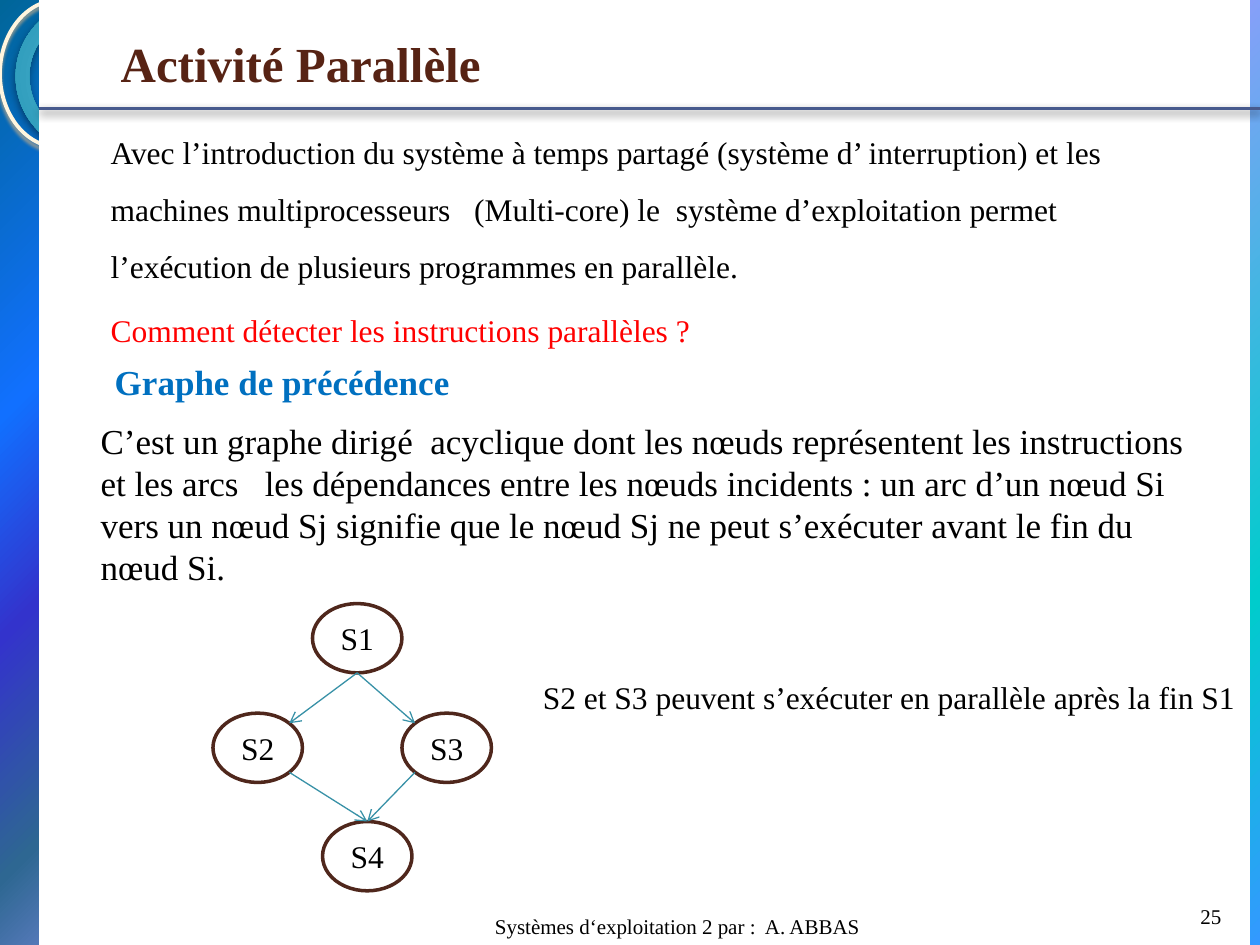
from pptx import Presentation
from pptx.dml.color import RGBColor
from pptx.enum.shapes import MSO_CONNECTOR, MSO_SHAPE
from pptx.enum.text import MSO_ANCHOR, PP_ALIGN
from pptx.oxml import parse_xml
from pptx.oxml.ns import nsdecls
from pptx.util import Inches, Pt

FONT = "Times New Roman"
BLACK = RGBColor(0x00, 0x00, 0x00)
WHITE = RGBColor(0xFF, 0xFF, 0xFF)
RED = RGBColor(0xFF, 0x00, 0x00)
BLUE = RGBColor(0x00, 0x70, 0xC0)
BROWN = RGBColor(0x57, 0x23, 0x14)
RING = RGBColor(0x4F, 0x27, 0x1C)
TEAL = RGBColor(0x38, 0x91, 0xA7)
NAVY = RGBColor(0x47, 0x5A, 0x8D)
CREAM = RGBColor(0xFF, 0xF5, 0xDE)
SHADE = RGBColor(0xB0, 0xA6, 0x8F)
SKY = [(0, RGBColor(0x33, 0x99, 0xFF)), (16, RGBColor(0x00, 0xCC, 0xCC)),
       (47, RGBColor(0x99, 0x99, 0xFF)), (60, RGBColor(0x2E, 0x67, 0x92)),
       (71, RGBColor(0x33, 0x33, 0xCC)), (81, RGBColor(0x11, 0x70, 0xFF)),
       (100, RGBColor(0x00, 0x66, 0x99))]
LAGOON = [(0, RGBColor(0x45, 0xAC, 0xCC)), (15, RGBColor(0x45, 0xAC, 0xCB)),
          (62, RGBColor(0x2B, 0x9A, 0xB9)), (97, RGBColor(0x1C, 0x8A, 0xA7)),
          (100, RGBColor(0x0E, 0x89, 0xA7))]

COLS, ROWS = 100, 75
CELL = Inches(10) / COLS
NODE_W, NODE_H = 7.1, 5.5
NODES = {"S1": (24.8, 47.9), "S2": (16.9, 56.6), "S3": (31.9, 56.6), "S4": (25.6, 65.2)}
DIAG = 0.5 ** 0.5


def grid(*cells):
    return [round(cell * CELL) for cell in cells]


def blend(fill, stops, focus):
    fill.gradient()
    grad = fill._fill._gradFill
    for child in list(grad):
        grad.remove(child)
    marks = "".join(f'<a:gs pos="{pos * 1000}"><a:srgbClr val="{color}"/></a:gs>'
                    for pos, color in stops)
    left, top, right, down = (side * 1000 for side in focus)
    grad.append(parse_xml(f'<a:gsLst {nsdecls("a")}>{marks}</a:gsLst>'))
    grad.append(parse_xml(
        f'<a:path {nsdecls("a")} path="circle"><a:fillToRect l="{left}" t="{top}" '
        f'r="{right}" b="{down}"/></a:path>'))


def cast(shape, color, alpha, blur):
    shape._element.spPr.append(parse_xml(
        f'<a:effectLst {nsdecls("a")}><a:outerShdw blurRad="{Pt(blur)}" dist="{Pt(2)}" '
        f'dir="5400000" rotWithShape="0"><a:srgbClr val="{color}"><a:alpha '
        f'val="{alpha * 1000}"/></a:srgbClr></a:outerShdw></a:effectLst>'))


def draw(slide, kind, area, fill=None, line=None, width=2, shadow=None):
    shape = slide.shapes.add_shape(kind, *grid(*area))
    if shadow:
        cast(shape, *shadow)
    else:
        shape.shadow.inherit = False
    if fill:
        shape.fill.solid()
        shape.fill.fore_color.rgb = fill
    else:
        shape.fill.background()
    if line:
        shape.line.color.rgb = line
        shape.line.width = Pt(width)
    else:
        shape.line.fill.background()
    return shape


def link(slide, start, end, color, width, shadow=None, head=False):
    wire = slide.shapes.add_connector(MSO_CONNECTOR.STRAIGHT, *grid(*start, *end))
    wire.line.color.rgb = color
    wire.line.width = Pt(width)
    if head:
        wire.line._get_or_add_ln().append(
            parse_xml(f'<a:tailEnd {nsdecls("a")} type="arrow"/>'))
    if shadow:
        cast(wire, *shadow)
    else:
        wire._element.spPr.append(parse_xml(f'<a:effectLst {nsdecls("a")}/>'))


def style(frame, words, size, color=BLACK, bold=False, align=PP_ALIGN.LEFT, space=None):
    para = frame.paragraphs[0]
    para.text = words
    para.alignment = align
    para.line_spacing = space
    font = para.font
    font.name, font.size, font.bold = FONT, Pt(size), bold
    font.color.rgb = color


def write(slide, area, words, size, anchor=MSO_ANCHOR.TOP, wrap=True, **look):
    frame = slide.shapes.add_textbox(*grid(*area)).text_frame
    frame.word_wrap = wrap
    frame.vertical_anchor = anchor
    style(frame, words, size, **look)


def node(slide, name):
    shape = draw(slide, MSO_SHAPE.OVAL, (*NODES[name], NODE_W, NODE_H), line=RING)
    frame = shape.text_frame
    frame.margin_left = frame.margin_right = frame.margin_top = frame.margin_bottom = 0
    frame.vertical_anchor = MSO_ANCHOR.MIDDLE
    style(frame, name, 18, align=PP_ALIGN.CENTER)


def rim(name, across, down):
    left, top = NODES[name]
    return left + NODE_W / 2 * (1 + across), top + NODE_H / 2 * (1 + down)


def frame_page(slide):
    blend(slide.background.fill, SKY, (100, 100, 0, 0))
    dark = (BLACK, 43, 5)
    donut = draw(slide, MSO_SHAPE.DONUT, (1.2, 0.1, 12.3, 12.1), shadow=dark)
    donut.rotation = 38.6
    donut.adjustments[0] = 0.09
    blend(donut.fill, LAGOON, (50, 50, 50, 50))
    draw(slide, MSO_SHAPE.OVAL, (0, 0, 9.4, 11.7), line=CREAM, width=2.15,
         shadow=(SHADE, 85, 2))
    draw(slide, MSO_SHAPE.RECTANGLE, (3.1, 0, 96.1, ROWS), fill=WHITE)
    link(slide, (3.1, 8.6), (COLS, 8.6), NAVY, 2, shadow=dark)


def graph(slide):
    for name in NODES:
        node(slide, name)
    for name, side in (("S2", 1), ("S3", -1)):
        link(slide, rim("S1", 0, 1), rim(name, side * DIAG, -DIAG), TEAL, 0.75, head=True)
        link(slide, rim(name, side * DIAG, DIAG), rim("S4", 0, -1), TEAL, 0.75, head=True)


def main():
    deck = Presentation()
    deck.slide_width, deck.slide_height = grid(COLS, ROWS)
    slide = deck.slides.add_slide(deck.slide_layouts[6])
    frame_page(slide)
    write(slide, (8.6, 1.4, 82, 7.2), "Activité Parallèle", 28,
          anchor=MSO_ANCHOR.MIDDLE, color=BROWN, bold=True)
    write(slide, (93, 69, 6.2, 5.2), "25", 12, anchor=MSO_ANCHOR.BOTTOM,
          align=PP_ALIGN.CENTER)
    write(slide, (38.3, 71.1, 31.7, 3.9), "Systèmes d‘exploitation 2 par :  A. ABBAS", 12,
          anchor=MSO_ANCHOR.BOTTOM)
    write(slide, (7.8, 8.6, 86.7, 14.6),
          "Avec l’introduction du système à temps partagé (système d’ interruption) et les "
          "machines multiprocesseurs   (Multi-core) le  système d’exploitation permet "
          "l’exécution de plusieurs programmes en parallèle.", 18, space=1.5)
    write(slide, (7.8, 22.7, 51.2, 5.6), "Comment détecter les instructions parallèles ?", 18,
          color=RED, space=1.5)
    write(slide, (8, 28.1, 29.5, 4.4), "Graphe de précédence ", 20, wrap=False,
          color=BLUE, bold=True, align=PP_ALIGN.CENTER)
    write(slide, (7, 32.8, 90.6, 11.1),
          "C’est un graphe dirigé  acyclique dont les nœuds représentent les instructions "
          "et les arcs   les dépendances entre les nœuds incidents : un arc d’un nœud Si "
          "vers un nœud Sj signifie que le nœud Sj ne peut s’exécuter avant le fin du "
          "nœud Si.", 20)
    graph(slide)
    write(slide, (42.1, 51.8, 81.4, 5),
          "S2 et S3 peuvent s’exécuter en parallèle après la fin S1", 18, space=1.5)
    deck.save("out.pptx")


if __name__ == "__main__":
    main()
